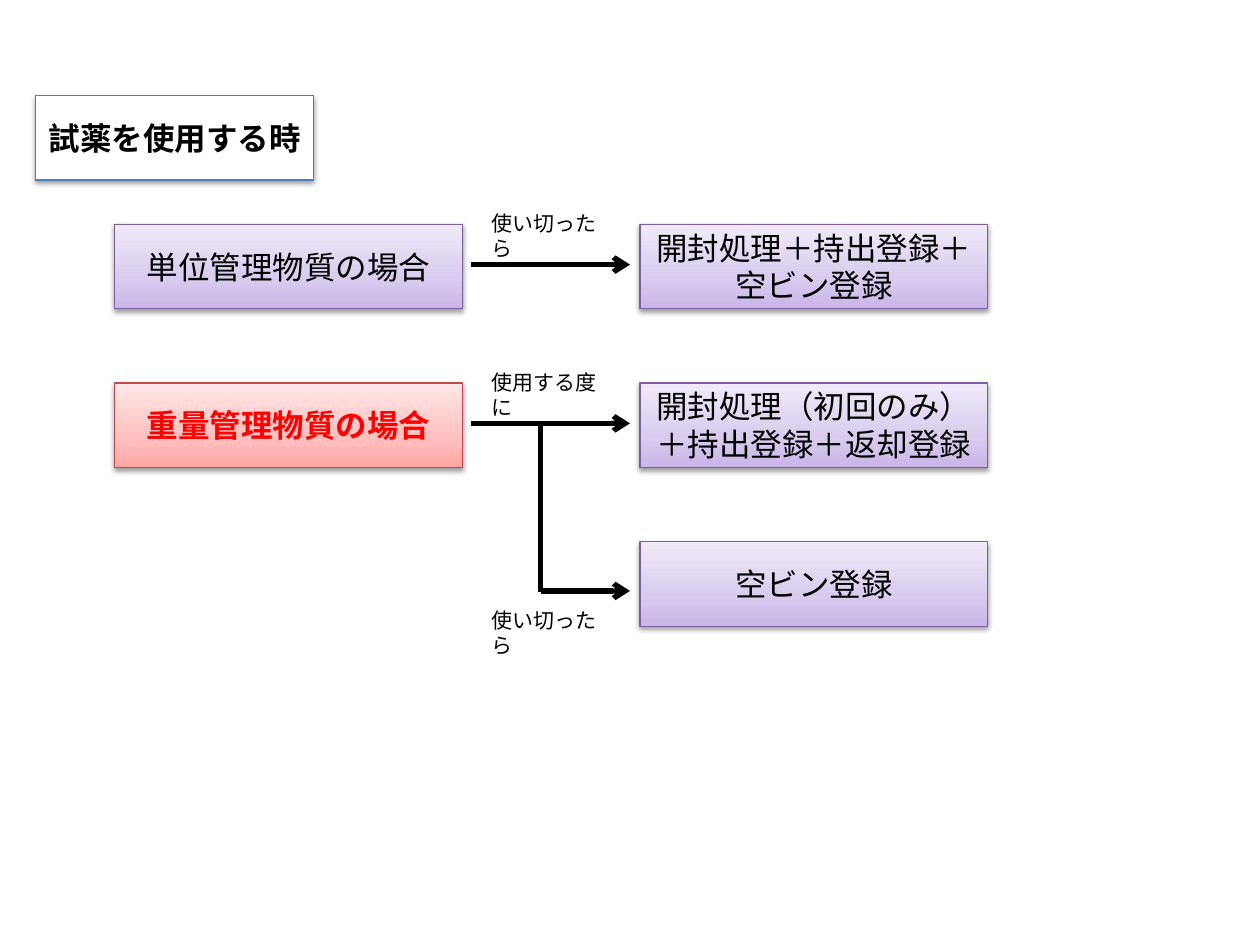
from copy import deepcopy

from lxml import etree
from pptx import Presentation
from pptx import util as u
from pptx.dml.color import RGBColor
from pptx.enum import shapes, text
from pptx.oxml.ns import qn

FONT = "Calibri"
COLORS = {"black": "000000", "white": "FFFFFF", "red": "FF0000",
          "title_line": "4B7EBC", "violet_line": "7D60A0", "red_line": "BF4C48"}
GRADIENTS = {"violet": ("C9B5E8", "D8CBEE", "F0EAF9"),
             "red": ("FFA6A5", "FFC0BF", "FFE7E7")}
STOPS = (0, 0.35, 1)

# Layout in inches
CASE_X, ACTION_X = 0.91, 5.08
STEP_W, STEP_H = 2.76, 0.67
ROWS = [1.78 + 1.26 * i for i in range(3)]
ARROW_X, BRANCH_X, ARROW_END = 3.74, 4.29, 5


def rgb(name):
    return RGBColor.from_string(COLORS[name])


def write(frame, words, size, color="black", bold=False):
    frame.word_wrap = True
    run = frame.paragraphs[0].add_run()
    run.text = words
    run.font.name, run.font.size, run.font.bold = FONT, u.Pt(size), bold
    run.font.color.rgb = rgb(color)


def add_shadow(box):
    box.shadow.inherit = False
    effects = box._element.spPr.find(qn("a:effectLst"))
    shadow = etree.SubElement(effects, qn("a:outerShdw"), blurRad=str(u.Pt(3.1)),
                              dist=str(u.Pt(1.6)), dir="5400000", rotWithShape="0")
    tone = etree.SubElement(shadow, qn("a:srgbClr"), val=COLORS["black"])
    etree.SubElement(tone, qn("a:alpha"), val="38000")


def fill_gradient(box, tones):
    box.fill.gradient()
    box.fill.gradient_angle = 90
    first = box._element.spPr.find(".//" + qn("a:gs"))
    first.addnext(deepcopy(first))
    for stop, position, tone in zip(box.fill.gradient_stops, STOPS, tones):
        stop.position = position
        stop.color.rgb = RGBColor.from_string(tone)


def add_process(slide, x, y, words, line, gradient=None, width=STEP_W,
                color="black", bold=False):
    box = slide.shapes.add_shape(shapes.MSO_SHAPE.FLOWCHART_PROCESS, u.Inches(x),
                                 u.Inches(y), u.Inches(width), u.Inches(STEP_H))
    if gradient:
        fill_gradient(box, GRADIENTS[gradient])
    else:
        box.fill.solid()
        box.fill.fore_color.rgb = rgb("white")
    box.line.color.rgb = rgb(line)
    box.line.width = u.Pt(0.75)
    add_shadow(box)
    box.text_frame.vertical_anchor = text.MSO_ANCHOR.MIDDLE
    write(box.text_frame, words, 18, color, bold)
    box.text_frame.paragraphs[0].alignment = text.PP_ALIGN.CENTER


def add_line(slide, x1, y1, x2, y2, arrow=True):
    flow = slide.shapes.add_connector(shapes.MSO_CONNECTOR.STRAIGHT, u.Inches(x1),
                                      u.Inches(y1), u.Inches(x2), u.Inches(y2))
    flow.line.color.rgb = rgb("black")
    flow.line.width = u.Pt(3)
    if arrow:
        etree.SubElement(flow.line._get_or_add_ln(), qn("a:tailEnd"), type="arrow")
    etree.SubElement(flow._element.spPr, qn("a:effectLst"))


def add_condition(slide, y, words, width=1.12):
    condition = slide.shapes.add_textbox(u.Inches(3.8), u.Inches(y),
                                         u.Inches(width), u.Inches(0.3))
    write(condition.text_frame, words, 12)


def main():
    deck = Presentation()
    deck.slide_width, deck.slide_height = u.Inches(10), u.Inches(7.5)
    slide = deck.slides.add_slide(deck.slide_layouts[6])

    # Heading and the two cases
    add_process(slide, 0.28, 0.76, "試薬を使用する時", "title_line", width=2.21, bold=True)
    add_process(slide, CASE_X, ROWS[0], "単位管理物質の場合", "violet_line", "violet")
    add_process(slide, CASE_X, ROWS[1], "重量管理物質の場合", "red_line", "red",
                color="red", bold=True)

    # Actions to take
    actions = ("開封処理＋持出登録＋空ビン登録",
               "開封処理（初回のみ）＋持出登録＋返却登録",
               "空ビン登録")
    for y, action in zip(ROWS, actions):
        add_process(slide, ACTION_X, y, action, "violet_line", "violet")

    # Flow from case to action, with a branch down to the last one
    for y in ROWS[:2]:
        add_line(slide, ARROW_X, y + 0.32, ARROW_END, y + 0.32)
    add_line(slide, BRANCH_X, 3.34, BRANCH_X, 4.7, arrow=False)
    add_line(slide, BRANCH_X, 4.69, ARROW_END, 4.69)

    # Conditions beside the arrows
    add_condition(slide, 1.62, "使い切ったら")
    add_condition(slide, 2.88, "使用する度に", 1.17)
    add_condition(slide, 4.77, "使い切ったら")

    deck.save("out.pptx")


main()
